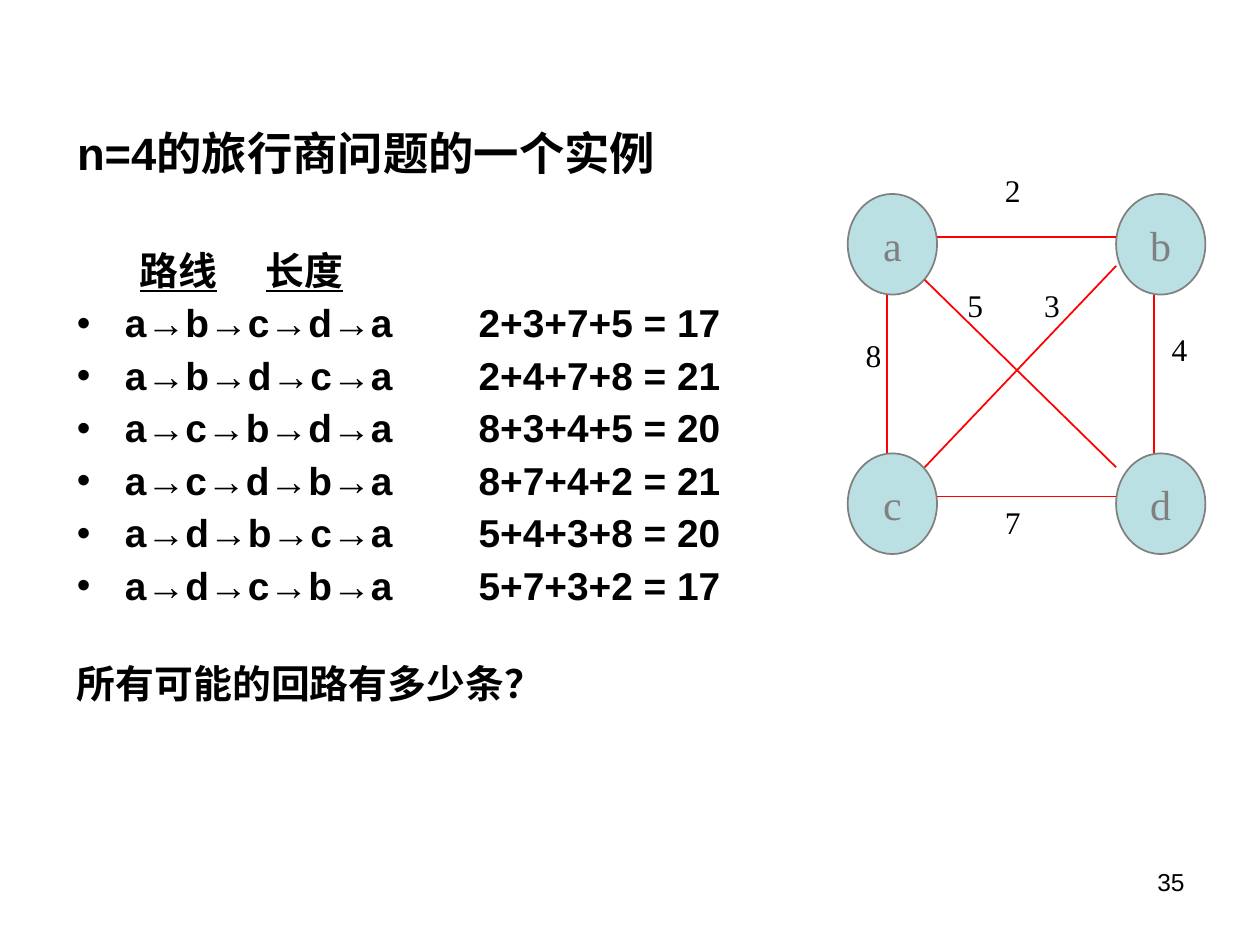
from lxml import etree
from pptx import Presentation
from pptx.dml.color import RGBColor
from pptx.enum.shapes import MSO_CONNECTOR, MSO_SHAPE
from pptx.enum.text import MSO_ANCHOR, MSO_AUTO_SIZE, PP_ALIGN
from pptx.oxml.ns import qn
from pptx.util import Cm, Pt

STRAIGHT, OVAL = MSO_CONNECTOR.STRAIGHT, MSO_SHAPE.OVAL
TOP, MIDDLE = MSO_ANCHOR.TOP, MSO_ANCHOR.MIDDLE
LEFT, CENTER, RIGHT = PP_ALIGN.LEFT, PP_ALIGN.CENTER, PP_ALIGN.RIGHT
COLORS = {"text": "000000", "node": "BBE0E3", "outline": "808080", "edge": "FF0000"}


def add_run(paragraph, text, size, font="Arial", color="text", bold=False, underline=False):
    run = paragraph.add_run()
    run.text = text
    run.font.name = font
    run.font.size = Pt(size)
    run.font.bold = bold
    run.font.underline = underline
    run.font.color.rgb = RGBColor.from_string(COLORS[color])


def set_layout(paragraph, tabs, indent=0, bullet=None):
    properties = paragraph._p.get_or_add_pPr()
    properties.set("marL", str(Cm(indent)))
    properties.set("indent", str(-Cm(indent)))
    if bullet:
        etree.SubElement(properties, qn("a:buFont"), typeface="Arial")
        etree.SubElement(properties, qn("a:buChar"), char=bullet)
    stops = etree.SubElement(properties, qn("a:tabLst"))
    for position in tabs:
        etree.SubElement(stops, qn("a:tab"), pos=str(Cm(position)), algn="l")
    paragraph.line_spacing = 0.9


prs = Presentation()
prs.slide_width, prs.slide_height = Cm(25.4), Cm(19.05)
slide = prs.slides.add_slide(prs.slide_layouts[5])
shapes = slide.shapes

title = shapes.title
title.left, title.top, title.width, title.height = Cm(1.3), Cm(2.51), Cm(15.6), Cm(1.5)
title.text_frame.auto_size = MSO_AUTO_SIZE.NONE
title.text_frame.vertical_anchor = TOP
heading = title.text_frame.paragraphs[0]
heading.alignment = LEFT
heading.line_spacing = 0.9
add_run(heading, "n=4的旅行商问题的一个实例", 25.9, bold=True)

node_width, node_height = 1.8, 2.03
columns, rows = (17.09, 22.5), (3.91, 9.14)
for index, name in enumerate("abcd"):
    node = shapes.add_shape(OVAL, Cm(columns[index % 2]), Cm(rows[index // 2]),
                            Cm(node_width), Cm(node_height))
    node.shadow.inherit = False
    node.fill.solid()
    node.fill.fore_color.rgb = RGBColor.from_string(COLORS["node"])
    node.line.color.rgb = RGBColor.from_string(COLORS["outline"])
    node.line.width = Pt(1)
    node.text_frame.word_wrap = False
    node.text_frame.vertical_anchor = MIDDLE
    node.text_frame.paragraphs[0].alignment = CENTER
    add_run(node.text_frame.paragraphs[0], name, 24, "Times New Roman", "outline")

edges = [
    ("2", (18.89, 4.78), (22.5, 4.78), (20.01, 3.33)),
    ("8", (17.88, 5.94), (17.88, 9.14), (17.2, 6.65)),
    ("7", (18.89, 10.01), (22.5, 10.01), (20.01, 10.01)),
    ("4", (23.27, 5.94), (23.27, 9.14), (23.37, 6.53)),
    ("5", (18.64, 5.64), (22.5, 9.42), (19.25, 5.64)),
    ("3", (22.5, 5.36), (18.64, 9.42), (20.8, 5.64)),
]
for weight, start, end, label_at in edges:
    edge = shapes.add_connector(STRAIGHT, *map(Cm, start + end))
    etree.SubElement(edge._element.spPr, qn("a:effectLst"))
    edge.line.color.rgb = RGBColor.from_string(COLORS["edge"])
    edge.line.width = Pt(1)
    label = shapes.add_textbox(*map(Cm, label_at), Cm(0.81), Cm(1.02))
    label.text_frame.word_wrap = False
    label.text_frame.paragraphs[0].alignment = CENTER
    add_run(label.text_frame.paragraphs[0], weight, 18, "Times New Roman")

routes = shapes.add_textbox(Cm(1.3), Cm(4.95), Cm(15.6), Cm(11.36)).text_frame
routes.word_wrap = True
header = routes.paragraphs[0]
set_layout(header, (1.45, 7.47, 9.93))
for text, underline in (("\t", False), ("路线", True), ("\t", False), ("长度\t", True)):
    add_run(header, text, 22.2, bold=True, underline=underline)

tours = [
    ("abcda", "2+3+7+5 = 17"),
    ("abdca", "2+4+7+8 = 21"),
    ("acbda", "8+3+4+5 = 20"),
    ("acdba", "8+7+4+2 = 21"),
    ("adbca", "5+4+3+8 = 20"),
    ("adcba", "5+7+3+2 = 17"),
]
for tour, length in tours:
    route = routes.add_paragraph()
    set_layout(route, (8.1,), 0.97, "•")
    route.space_before = Pt(6)
    add_run(route, "→".join(tour) + "\t" + length, 22.2, bold=True)

question = routes.add_paragraph()
question.line_spacing = 0.9
question.space_before = Pt(32)
add_run(question, "所有可能的回路有多少条？", 22.2, bold=True)

page = shapes.add_textbox(Cm(18.21), Cm(17.35), Cm(5.92), Cm(1.32)).text_frame
page.word_wrap = True
page.paragraphs[0].alignment = RIGHT
add_run(page.paragraphs[0], "35", 14)

prs.save("out.pptx")
